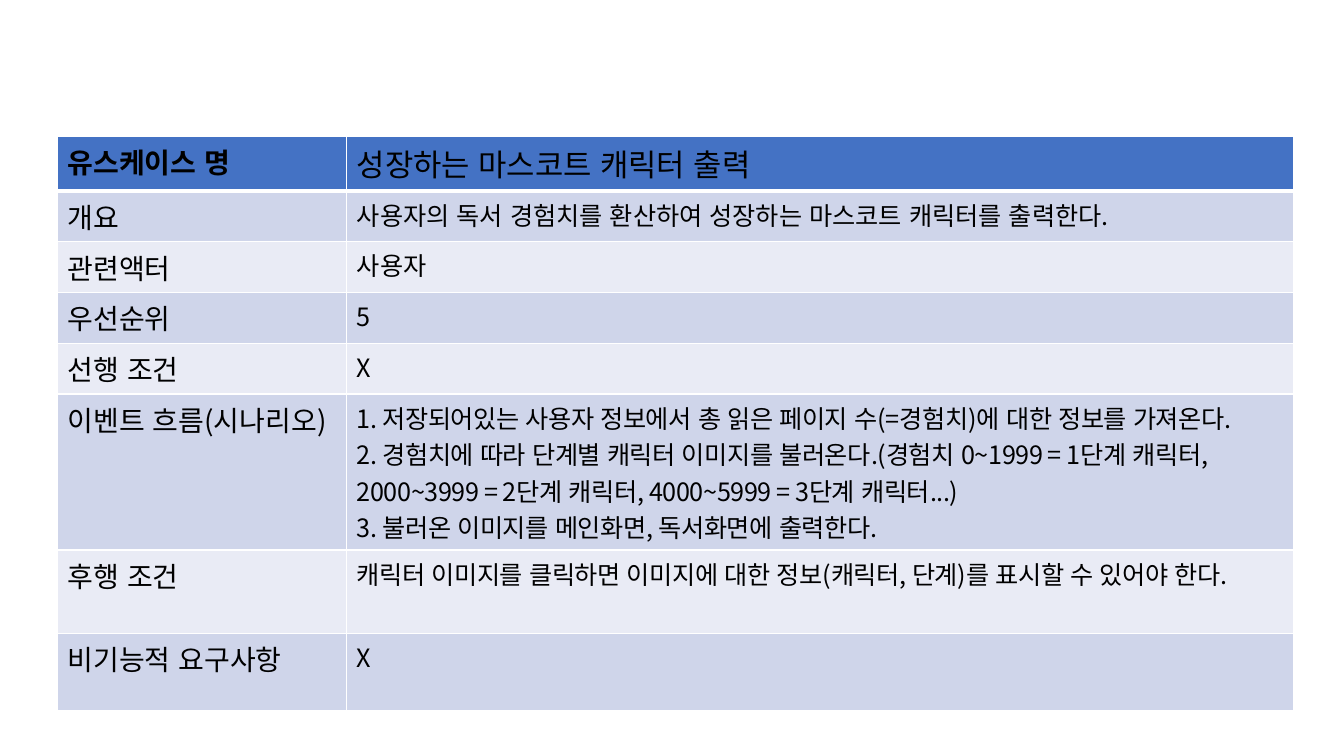
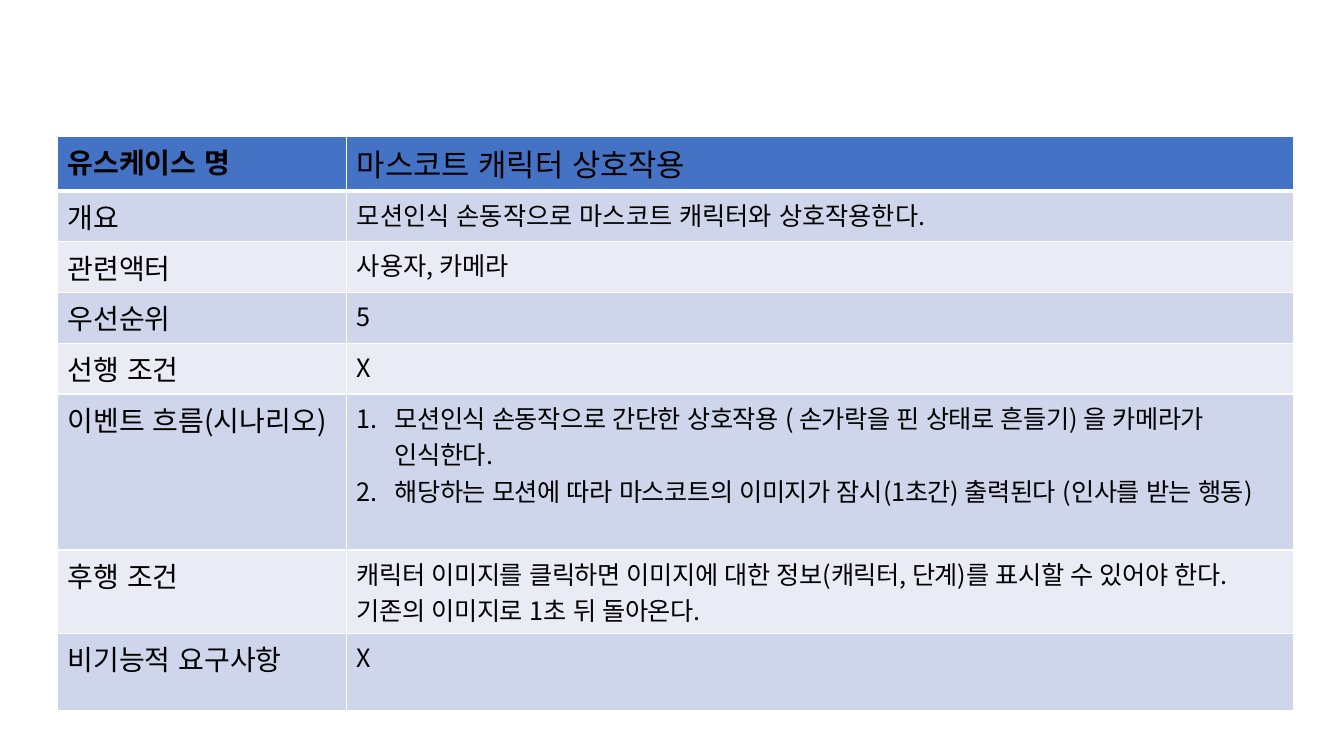
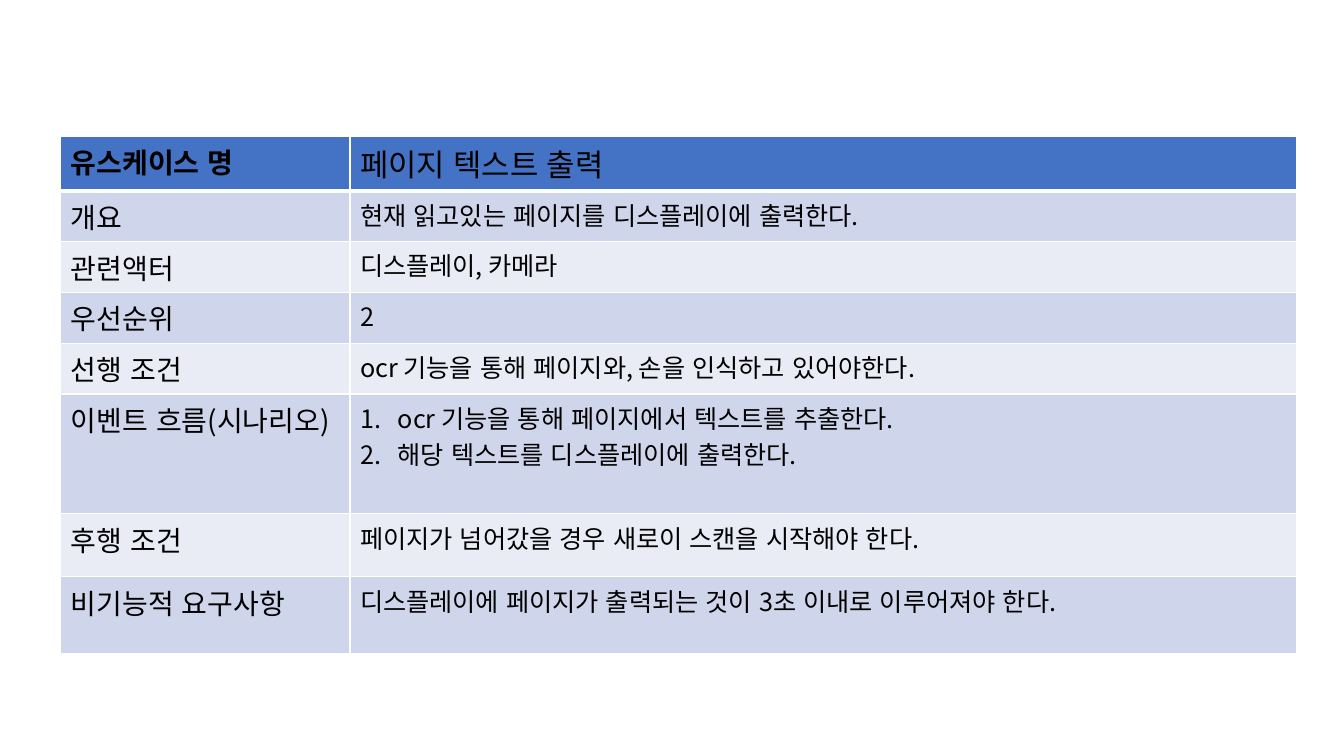
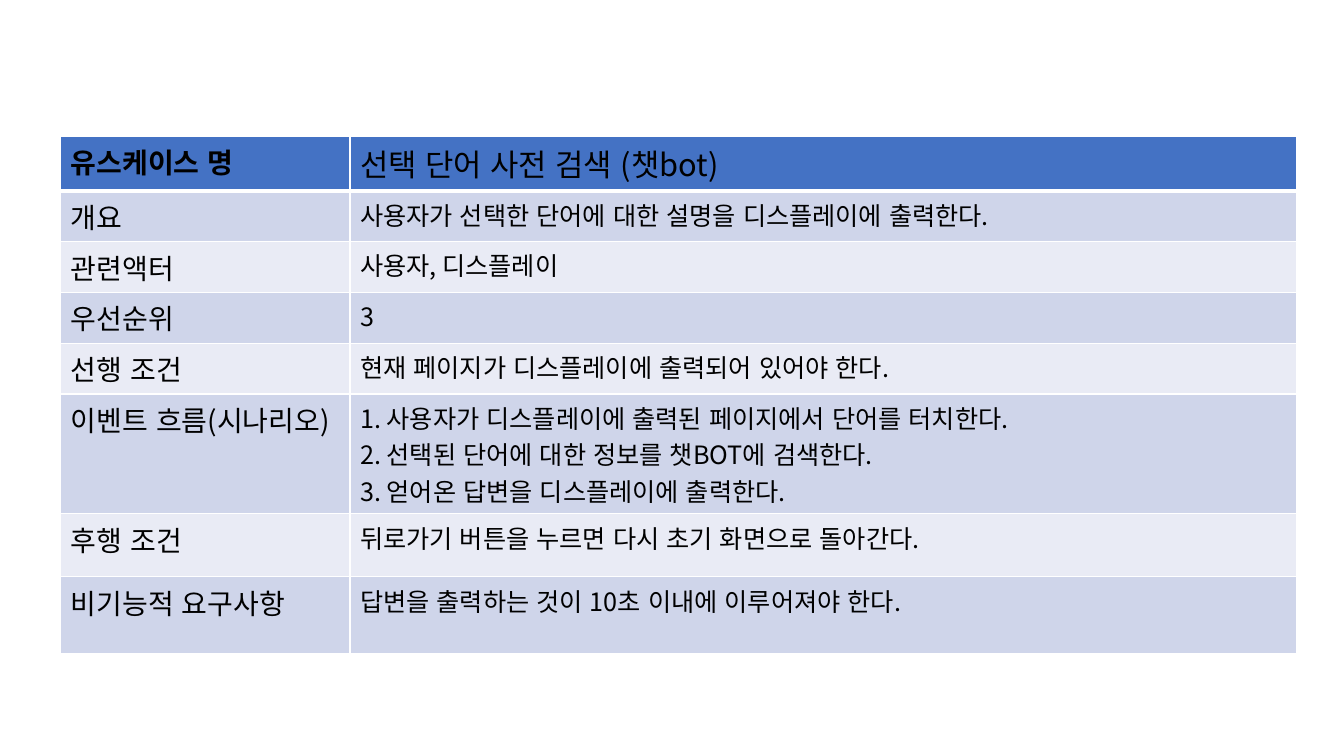
"""Build four use case specification tables."""
from dataclasses import dataclass

from lxml import etree
from pptx import Presentation
from pptx.dml.color import RGBColor
from pptx.enum.lang import MSO_LANGUAGE_ID
from pptx.oxml.ns import qn
from pptx.util import Cm, Pt

KOREAN = MSO_LANGUAGE_ID.KOREAN
FONT = "Noto Sans CJK KR"
COLORS = {
    "text": "000000",
    "header": "4472C4",
    "odd": "CFD5EA",
    "even": "E9EBF5",
    "border": "FFFFFF",
}
LABELS = (
    "유스케이스 명", "개요", "관련액터", "우선순위", "선행 조건",
    "이벤트 흐름(시나리오)", "후행 조건", "비기능적 요구사항",
)
EVENT_ROW, AFTER_ROW = 5, 6
COLUMN_WIDTHS = (7.29, 23.86)
TABLE_TOP = 3.43
HEADER_HEIGHT, ROW_HEIGHT, LAST_HEIGHT = 1.33, 1.28, 1.94
TITLE_SIZE, LABEL_SIZE, VALUE_SIZE = 22, 20, 18
NUMBER_INDENT = 0.95
TIGHT_SPACING = -0.3
THIN, THICK = 1, 3


@dataclass(frozen=True)
class UseCase:
    """Content and measures of one use case table."""

    title: str
    summary: str
    actors: str
    priority: str
    before: str
    events: tuple[str, ...]
    after: tuple[str, ...]
    quality: str
    left: float
    event_height: float
    after_height: float
    numbered: bool = False
    tight: bool = False

    def values(self) -> list[tuple[str, ...]]:
        """Return the paragraphs of each cell in the right column."""
        return [
            (self.title,), (self.summary,), (self.actors,), (self.priority,),
            (self.before,), self.events, self.after, (self.quality,),
        ]

    def heights(self) -> list[float]:
        """Return the row heights in centimetres."""
        return [
            HEADER_HEIGHT, *[ROW_HEIGHT] * 4,
            self.event_height, self.after_height, LAST_HEIGHT,
        ]


USE_CASES = (
    UseCase(
        title="성장하는 마스코트 캐릭터 출력",
        summary="사용자의 독서 경험치를 환산하여 성장하는 마스코트 캐릭터를 출력한다.",
        actors="사용자",
        priority="5",
        before="X",
        events=(
            "1. 저장되어있는 사용자 정보에서 총 읽은 페이지 수(=경험치)에 대한 정보를 가져온다.",
            "2. 경험치에 따라 단계별 캐릭터 이미지를 불러온다.(경험치 0~1999 = 1단계 캐릭터, "
            "2000~3999 = 2단계 캐릭터, 4000~5999 = 3단계 캐릭터...)",
            "3. 불러온 이미지를 메인화면, 독서화면에 출력한다.",
        ),
        after=("캐릭터 이미지를 클릭하면 이미지에 대한 정보(캐릭터, 단계)를 표시할 수 있어야 한다.",),
        quality="X",
        left=1.45, event_height=3.93, after_height=2.1, tight=True,
    ),
    UseCase(
        title="마스코트 캐릭터 상호작용",
        summary="모션인식 손동작으로 마스코트 캐릭터와 상호작용한다.",
        actors="사용자, 카메라",
        priority="5",
        before="X",
        events=(
            "모션인식 손동작으로 간단한 상호작용 ( 손가락을 핀 상태로 흔들기) 을 카메라가 인식한다.",
            "해당하는 모션에 따라 마스코트의 이미지가 잠시(1초간) 출력된다 (인사를 받는 행동)",
        ),
        after=(
            "캐릭터 이미지를 클릭하면 이미지에 대한 정보(캐릭터, 단계)를 표시할 수 있어야 한다.",
            "기존의 이미지로 1초 뒤 돌아온다.",
        ),
        quality="X",
        left=1.45, event_height=3.93, after_height=2.1, numbered=True, tight=True,
    ),
    UseCase(
        title="페이지 텍스트 출력",
        summary="현재 읽고있는 페이지를 디스플레이에 출력한다.",
        actors="디스플레이, 카메라",
        priority="2",
        before="ocr 기능을 통해 페이지와, 손을 인식하고 있어야한다.",
        events=(
            "ocr 기능을 통해 페이지에서 텍스트를 추출한다.",
            "해당 텍스트를 디스플레이에 출력한다.",
        ),
        after=("페이지가 넘어갔을 경우 새로이 스캔을 시작해야 한다.",),
        quality="디스플레이에 페이지가 출력되는 것이 3초 이내로 이루어져야 한다.",
        left=1.53, event_height=3.02, after_height=1.59, numbered=True,
    ),
    UseCase(
        title="선택 단어 사전 검색 (챗bot)",
        summary="사용자가 선택한 단어에 대한 설명을 디스플레이에 출력한다.",
        actors="사용자, 디스플레이",
        priority="3",
        before="현재 페이지가 디스플레이에 출력되어 있어야 한다.",
        events=(
            "1. 사용자가 디스플레이에 출력된 페이지에서 단어를 터치한다.",
            "2. 선택된 단어에 대한 정보를 챗BOT에 검색한다.",
            "3. 얻어온 답변을 디스플레이에 출력한다.",
        ),
        after=("뒤로가기 버튼을 누르면 다시 초기 화면으로 돌아간다.",),
        quality="답변을 출력하는 것이 10초 이내에 이루어져야 한다.",
        left=1.53, event_height=3.02, after_height=1.59,
    ),
)


def set_borders(cell, top: float, bottom: float) -> None:
    """Draw the four borders of a cell, with widths in points."""
    properties = cell._tc.get_or_add_tcPr()
    widths = {"lnL": THIN, "lnR": THIN, "lnT": top, "lnB": bottom}
    for name, width in widths.items():
        line = etree.SubElement(properties, qn(f"a:{name}"), w=str(Pt(width)))
        fill = etree.SubElement(line, qn("a:solidFill"))
        etree.SubElement(fill, qn("a:srgbClr"), val=COLORS["border"])


def number_paragraph(para) -> None:
    """Give a paragraph automatic numbering and a hanging indent."""
    properties = para._p.get_or_add_pPr()
    properties.set("marL", str(Cm(NUMBER_INDENT)))
    properties.set("indent", str(-Cm(NUMBER_INDENT)))
    etree.SubElement(properties, qn("a:buFont"), typeface="+mj-lt")
    etree.SubElement(properties, qn("a:buAutoNum"), type="arabicPeriod")


def add_text(para, text: str, *, size: float, bold: bool = False,
             numbered: bool = False, spacing: float = 0) -> None:
    """Write one formatted paragraph."""
    span = para.add_run()
    span.text = text
    font = span.font
    font.size = Pt(size)
    font.bold = bold
    font.name = FONT
    font.language_id = KOREAN
    font.color.rgb = RGBColor.from_string(COLORS["text"])
    properties = span._r.get_or_add_rPr()
    etree.SubElement(properties, qn("a:ea"), typeface=FONT)
    if spacing:
        properties.set("spc", str(round(spacing * 100)))
    if numbered:
        number_paragraph(para)


def fill_cell(cell, lines: tuple[str, ...], row: int, *, size: float,
              bold: bool = False, numbered: bool = False,
              spacing: float = 0) -> None:
    """Style a cell by its row and write its paragraphs."""
    set_borders(cell, top=THICK if row == 1 else THIN,
                bottom=THICK if row == 0 else THIN)
    color = "header" if row == 0 else ("odd" if row % 2 else "even")
    cell.fill.solid()
    cell.fill.fore_color.rgb = RGBColor.from_string(COLORS[color])
    frame = cell.text_frame
    for index, line in enumerate(lines):
        para = frame.add_paragraph() if index else frame.paragraphs[0]
        add_text(para, line, size=size, bold=bold, numbered=numbered,
                 spacing=spacing)


def add_use_case(page, case: UseCase) -> None:
    """Add the table of one use case to a page."""
    heights = case.heights()
    table = page.shapes.add_table(
        len(LABELS), len(COLUMN_WIDTHS), Cm(case.left), Cm(TABLE_TOP),
        Cm(sum(COLUMN_WIDTHS)), Cm(sum(heights)),
    ).table
    for column, width in zip(table.columns, COLUMN_WIDTHS):
        column.width = Cm(width)
    for row, (label, lines, height) in enumerate(zip(LABELS, case.values(), heights)):
        tight = case.tight and row in (EVENT_ROW, AFTER_ROW)
        table.rows[row].height = Cm(height)
        fill_cell(table.cell(row, 0), (label,), row, size=LABEL_SIZE, bold=row == 0)
        fill_cell(table.cell(row, 1), lines, row,
                  size=VALUE_SIZE if row else TITLE_SIZE,
                  numbered=case.numbered and row == EVENT_ROW,
                  spacing=TIGHT_SPACING if tight else 0)


def main() -> None:
    """Create and save the deck."""
    deck = Presentation()
    deck.slide_width, deck.slide_height = Cm(33.87), Cm(19.05)
    blank = deck.slide_layouts[6]
    for case in USE_CASES:
        add_use_case(deck.slides.add_slide(blank), case)
    deck.save("out.pptx")


if __name__ == "__main__":
    main()
